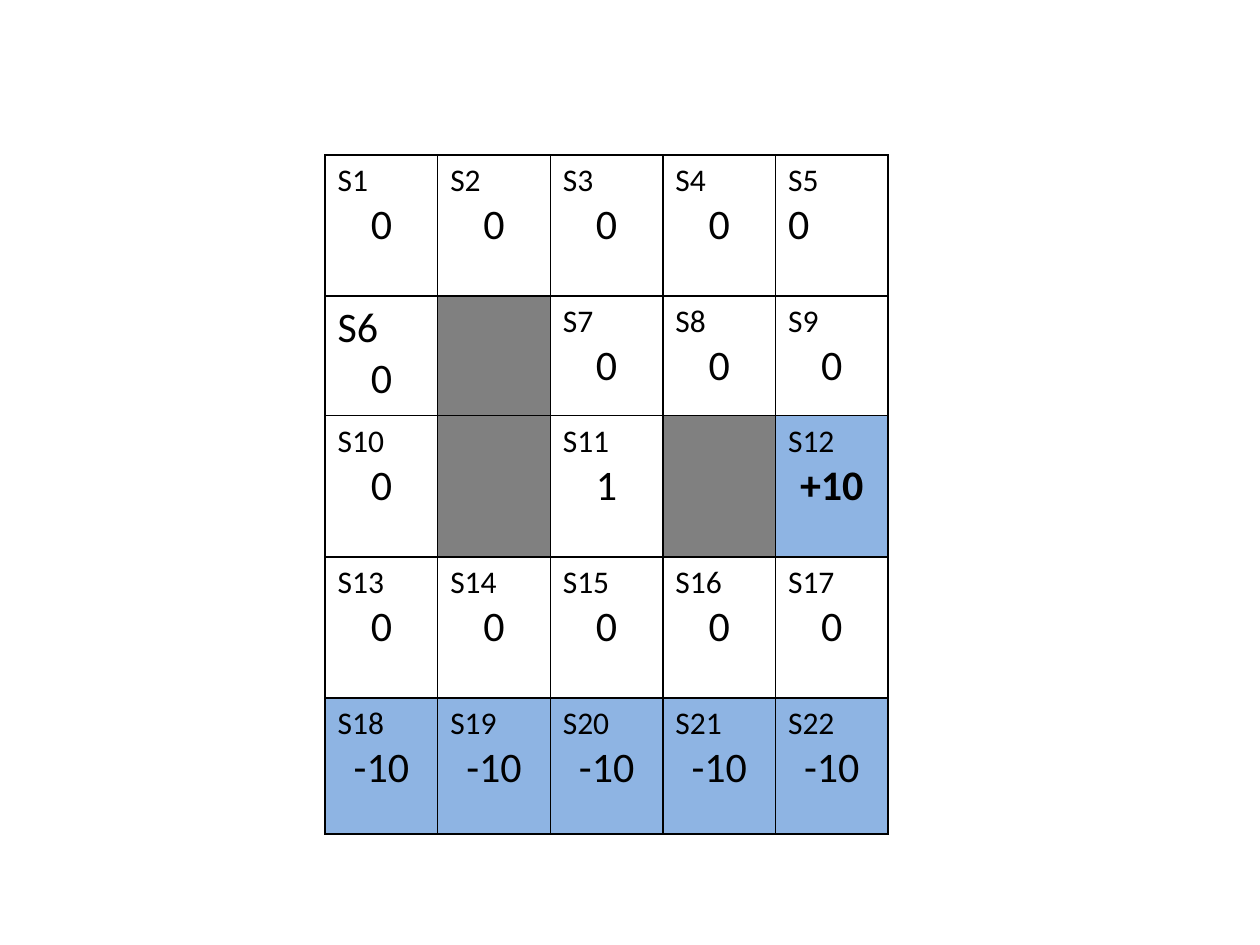
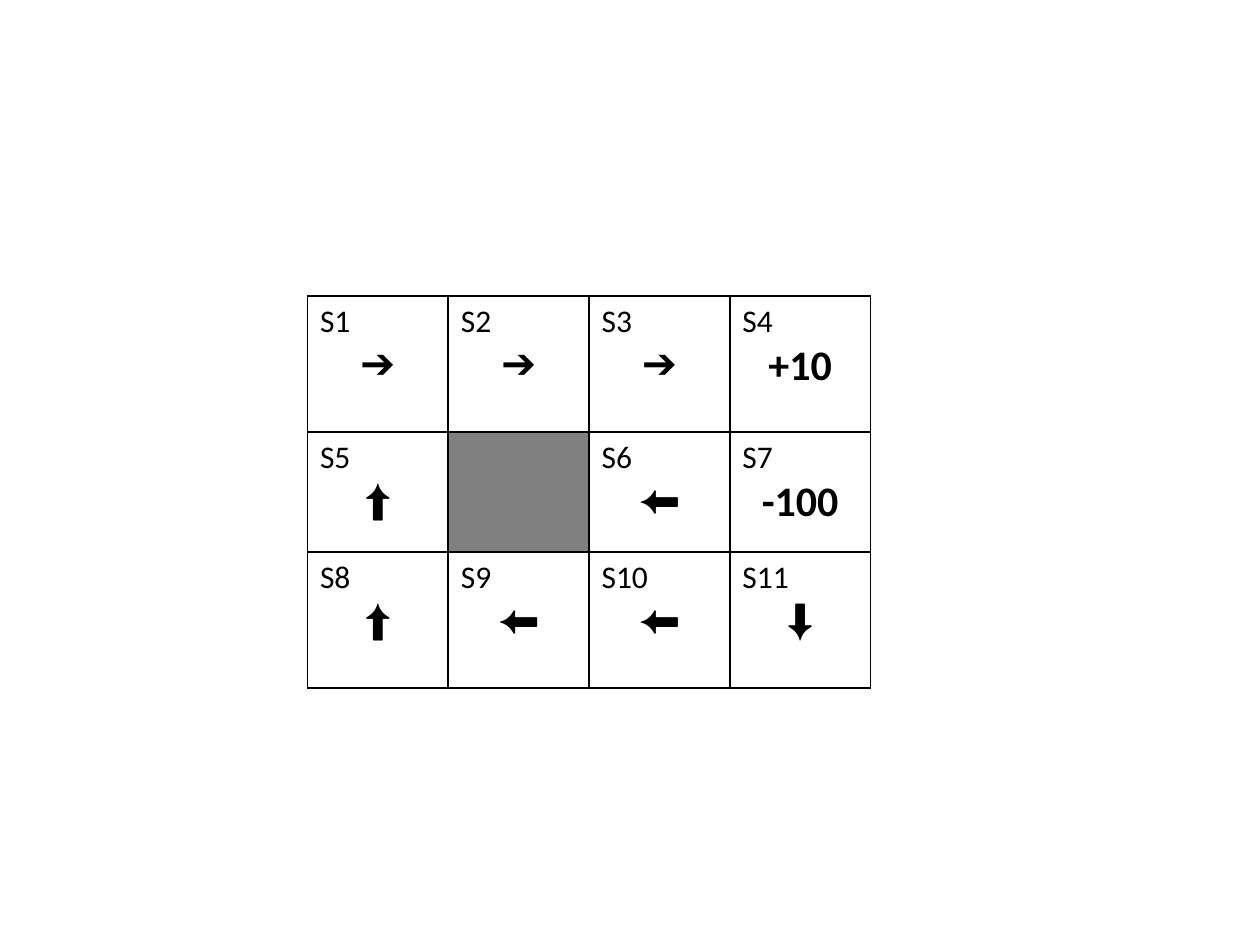
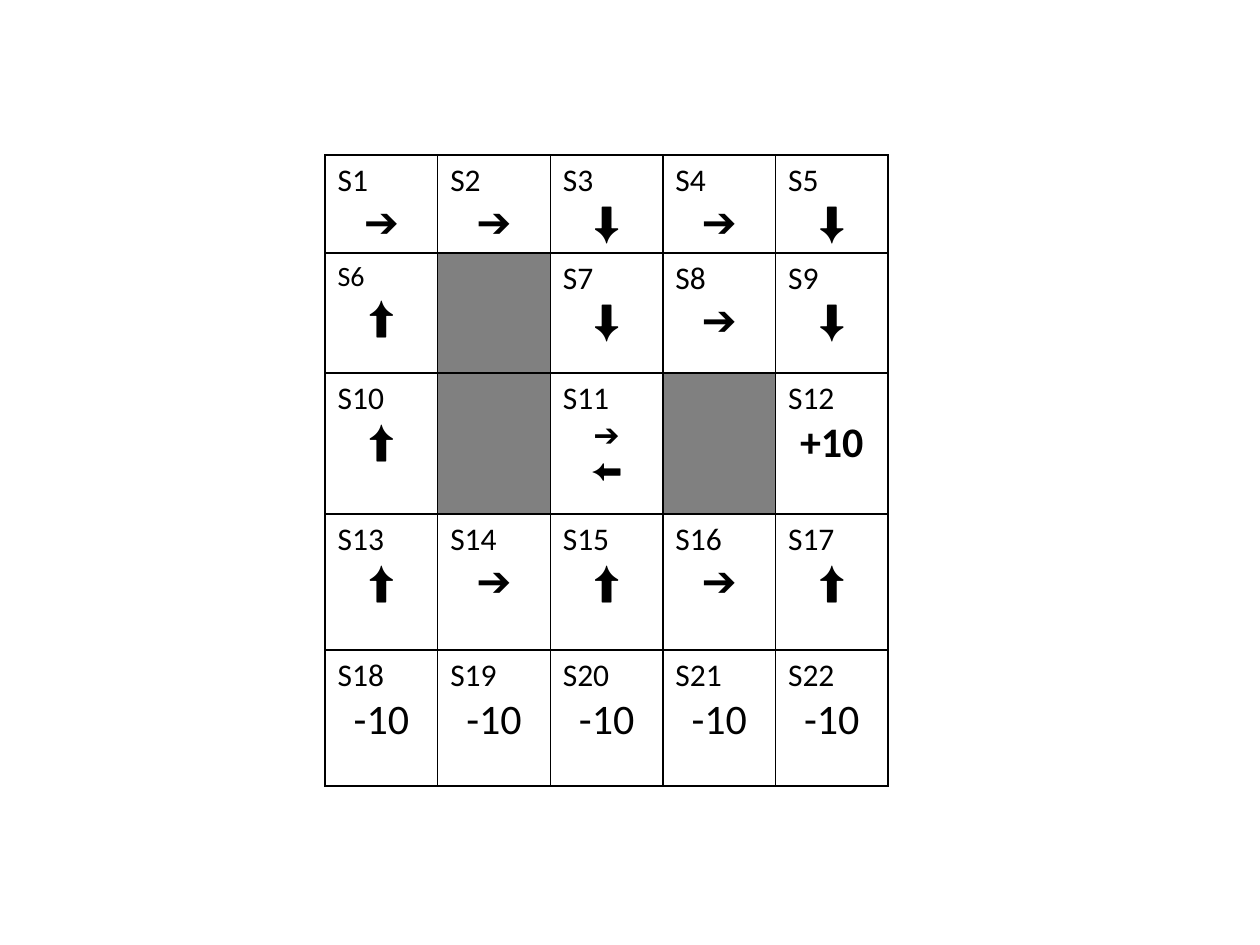
from lxml import etree
from pptx import Presentation
from pptx.dml.color import RGBColor
from pptx.enum import text
from pptx.oxml import ns
from pptx.util import Inches, Pt

COLORS = {"ink": "000000", "open": "FFFFFF", "wall": "808080", "goal": "8EB4E3"}
WALL = ""
RIGHT, LEFT, UP, DOWN = "\u2794", "\u2b05", "\u2b06", "\u2b07"
ARROWS = (RIGHT, LEFT, UP, DOWN)
BOLD = ("+10", "-100")
GRID_WIDTH = 4.47

worlds = [
    {
        "at": (2.58, 1.23),
        "heights": [1.12, 0.95, 1.12, 1.12, 1.08],
        "values": [
            ["0"] * 5,
            ["0", WALL, "0", "0", "0"],
            ["0", WALL, "1", WALL, "+10"],
            ["0"] * 5,
            ["-10"] * 5,
        ],
        "shaded": ("+10", "-10"),
        "label_sizes": {"S6": 24},
        "value_sizes": {},
        "left_values": ("S5",),
    },
    {
        "at": (2.44, 2.35),
        "heights": [1.08, 0.95, 1.08],
        "values": [
            [RIGHT, RIGHT, RIGHT, "+10"],
            [UP, WALL, LEFT, "-100"],
            [UP, LEFT, LEFT, DOWN],
        ],
        "shaded": (),
        "label_sizes": {},
        "value_sizes": {},
        "left_values": (),
    },
    {
        "at": (2.58, 1.23),
        "heights": [0.78, 0.95, 1.12, 1.08, 1.08],
        "values": [
            [RIGHT, RIGHT, DOWN, RIGHT, DOWN],
            [UP, WALL, DOWN, RIGHT, DOWN],
            [UP, WALL, RIGHT + "\n" + LEFT, WALL, "+10"],
            [UP, RIGHT, UP, RIGHT, UP],
            ["-10"] * 5,
        ],
        "shaded": (),
        "label_sizes": {"S6": 16},
        "value_sizes": {"S11": 18},
        "left_values": (),
    },
]


def paint(cell, color):
    props = cell._tc.get_or_add_tcPr()
    for side in ("a:lnL", "a:lnR", "a:lnT", "a:lnB"):
        border = etree.SubElement(props, ns.qn(side), w=str(Pt(1)))
        solid = etree.SubElement(border, ns.qn("a:solidFill"))
        etree.SubElement(solid, ns.qn("a:srgbClr"), val=COLORS["ink"])
    cell.fill.solid()
    cell.fill.fore_color.rgb = RGBColor.from_string(COLORS[color])


def style(paragraph, size):
    font = paragraph.runs[0].font
    font.size = Pt(size)
    font.name = "Arial" if paragraph.text in ARROWS else "Calibri"
    font.bold = paragraph.text in BOLD
    font.color.rgb = RGBColor.from_string(COLORS["ink"])


deck = Presentation()
deck.slide_width, deck.slide_height = Inches(10), Inches(7.5)

for world in worlds:
    slide = deck.slides.add_slide(deck.slide_layouts[6])
    values, heights = world["values"], world["heights"]
    left, top = world["at"]
    columns = len(values[0])
    grid = slide.shapes.add_table(
        len(values), columns, Inches(left), Inches(top),
        Inches(GRID_WIDTH), Inches(sum(heights))).table
    grid.first_row = grid.horz_banding = False
    for column in grid.columns:
        column.width = Inches(GRID_WIDTH / columns)

    state = 0
    for r, row in enumerate(values):
        grid.rows[r].height = Inches(heights[r])
        for c, value in enumerate(row):
            cell = grid.cell(r, c)
            if value == WALL:
                paint(cell, "wall")
                continue
            paint(cell, "goal" if value in world["shaded"] else "open")
            state += 1
            label = f"S{state}"
            cell.text_frame.text = f"{label}\n{value}"
            heading, *entries = cell.text_frame.paragraphs
            style(heading, world["label_sizes"].get(label, 18))
            for entry in entries:
                style(entry, world["value_sizes"].get(label, 24))
                if label not in world["left_values"]:
                    entry.alignment = text.PP_ALIGN.CENTER

deck.save("out.pptx")
